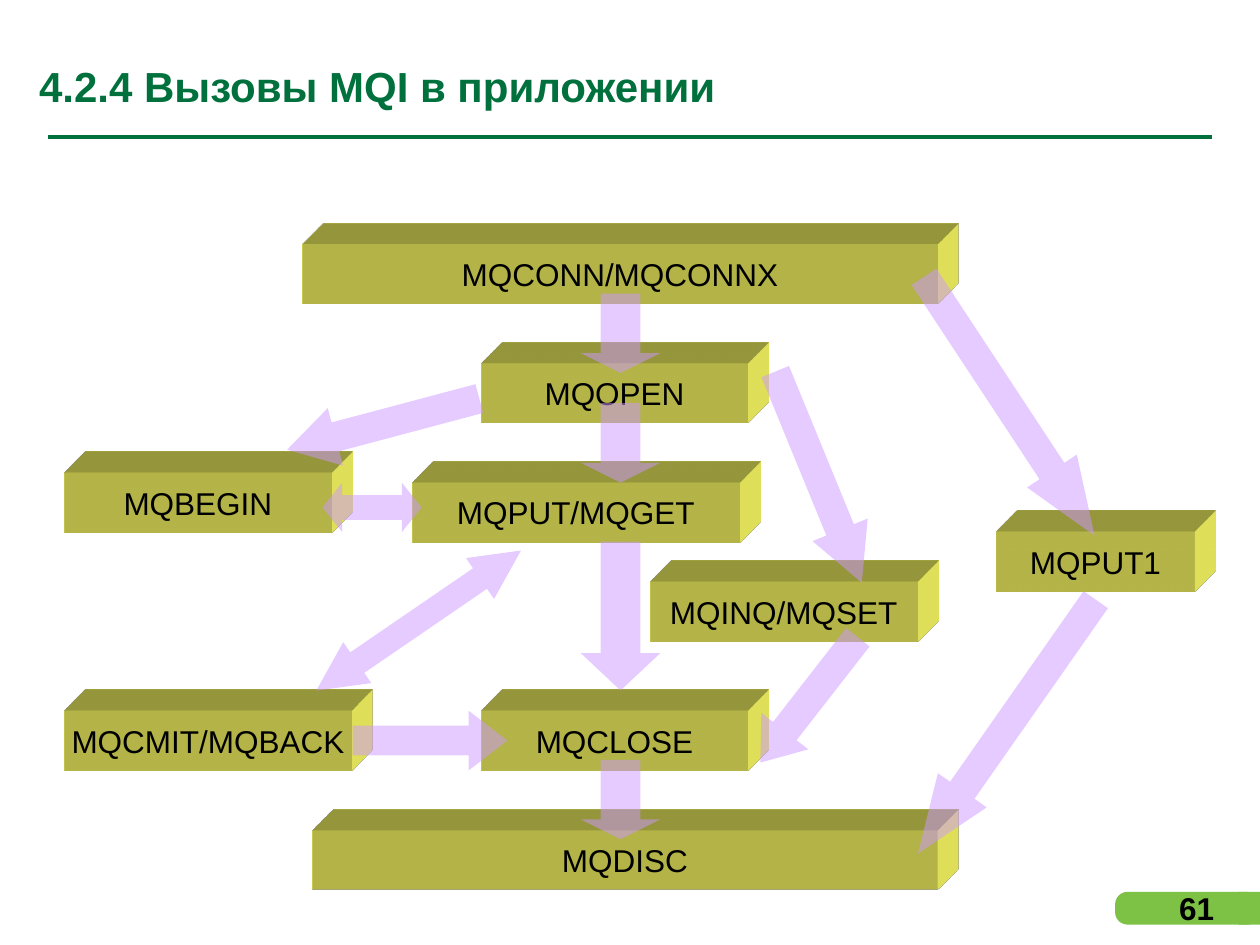
from lxml import etree
from pptx import Presentation
from pptx.dml.color import RGBColor
from pptx.enum.shapes import MSO_CONNECTOR, MSO_SHAPE
from pptx.enum.text import MSO_ANCHOR, PP_ALIGN
from pptx.oxml.ns import qn
from pptx.util import Cm, Pt

STRAIGHT = MSO_CONNECTOR.STRAIGHT
RECTANGLE = MSO_SHAPE.RECTANGLE
ROUNDED = MSO_SHAPE.ROUNDED_RECTANGLE
DOWN = MSO_SHAPE.DOWN_ARROW
RIGHT = MSO_SHAPE.RIGHT_ARROW
BOTH_WAYS = MSO_SHAPE.LEFT_RIGHT_ARROW
MIDDLE = MSO_ANCHOR.MIDDLE
LEFT, CENTER = PP_ALIGN.LEFT, PP_ALIGN.CENTER

DARK_GREEN = RGBColor(0x00, 0x70, 0x3C)
LIGHT_GREEN = RGBColor(0x7D, 0xC2, 0x44)
YELLOW = RGBColor(0xFF, 0xFF, 0x66)
LILAC = RGBColor(0xCC, 0x99, 0xFF)
BLACK = RGBColor(0x00, 0x00, 0x00)

CALL_HEIGHT = 1.2
CALLS = [
    ("MQCONN/MQCONNX", 6.1, 4.93, 12.8),
    ("MQDISC", 6.3, 16.74, 12.6),
    ("MQOPEN", 9.7, 7.32, 5.38),
    ("MQCLOSE", 9.7, 14.33, 5.38),
    ("MQBEGIN", 1.3, 9.53, 5.38),
    ("MQCMIT/MQBACK", 1.3, 14.33, 5.79),
    ("MQINQ/MQSET", 13.11, 11.73, 5.38),
    ("MQPUT/MQGET", 8.31, 9.73, 6.6),
    ("MQPUT1", 20.09, 10.72, 3.99),
]
ARROWS = [
    (DOWN, (11.71, 5.92, 1.6, 1.6), 0, 0.25),
    (DOWN, (11.71, 15.32, 1.6, 1.6), 0, 0.25),
    (RIGHT, (17.22, 7.59, 6.25, 1.2), 56.6, 1.3),
    (RIGHT, (17.17, 14.05, 6.25, 1.2), 125, 1.3),
    (RIGHT, (5.72, 7.95, 4.01, 1.2), 165.1, 0.84),
    (RIGHT, (7.11, 14.33, 3.12, 1.2), 0, 0.65),
    (RIGHT, (14.2, 9.02, 4.6, 1.2), 67.7, 0.96),
    (RIGHT, (14.71, 13.51, 3.2, 1.2), 127.9, 0.67),
    (DOWN, (11.71, 10.92, 1.6, 3), 0, 0.47),
    (BOTH_WAYS, (6.5, 9.73, 2, 1), 0, 0.4),
    (BOTH_WAYS, (5.94, 12.01, 5, 1), 325.6, 1),
    (DOWN, (11.71, 8.13, 1.6, 1.6), 0, 0.25),
]


def set_values(target, values):
    for name, value in values.items():
        setattr(target, name, value)


def write(box, text, align, color, frame_values, **font_values):
    frame = box.text_frame
    set_values(frame, {"vertical_anchor": MIDDLE, **frame_values})
    para = frame.paragraphs[0]
    para.alignment = align
    span = para.add_run()
    span.text = text
    set_values(span.font, {"name": "Arial", "size": Pt(18), **font_values})
    span.font.color.rgb = color
    return para


def add_filled(page, kind, place, color):
    shape = page.shapes.add_shape(kind, *map(Cm, place))
    shape.shadow.inherit = False
    shape.fill.solid()
    shape.fill.fore_color.rgb = color
    shape.line.fill.background()
    return shape


def add_text(page, place, text, color, frame_values, **font_values):
    box = page.shapes.add_textbox(*map(Cm, place))
    return write(box, text, LEFT, color, frame_values, **font_values)


def add_rule(page):
    rule = page.shapes.add_connector(STRAIGHT, Cm(0.97), Cm(2.77), Cm(24.43), Cm(2.77))
    rule.line.color.rgb = DARK_GREEN
    rule.line.width = Pt(2.25)
    etree.SubElement(rule._element.spPr, qn("a:effectLst"))


def extrude(shape, color):
    properties = shape._element.spPr
    scene = etree.SubElement(properties, qn("a:scene3d"))
    etree.SubElement(scene, qn("a:camera"), prst="legacyObliqueTopRight")
    etree.SubElement(scene, qn("a:lightRig"), rig="legacyFlat3", dir="b")
    solid = etree.SubElement(properties, qn("a:sp3d"),
                             extrusionH="430200", prstMaterial="legacyMatte")
    side = etree.SubElement(solid, qn("a:extrusionClr"))
    etree.SubElement(side, qn("a:srgbClr"), val=str(color))


def add_call(page, name, left, top, width):
    box = add_filled(page, RECTANGLE, (left, top, width, CALL_HEIGHT), YELLOW)
    extrude(box, YELLOW)
    write(box, name, CENTER, BLACK, {"word_wrap": False})


def add_arrow(page, kind, place, rotation, head):
    arrow = add_filled(page, kind, place, LILAC)
    arrow.rotation = rotation
    arrow.adjustments[0] = 0.5
    arrow.adjustments[1] = head
    tint = arrow._element.spPr.find(qn("a:solidFill"))[0]
    etree.SubElement(tint, qn("a:alpha"), val="50000")


def add_page_number(page):
    tab = add_filled(page, ROUNDED, (22.48, 17.98, 2.92, 0.66), LIGHT_GREEN)
    tab.adjustments[0] = 0.38
    add_filled(page, RECTANGLE, (24.97, 17.98, 0.43, 0.66), LIGHT_GREEN)
    add_text(page, (23.52, 17.98, 1.78, 0.64), "61", BLACK, {"word_wrap": True}, bold=True)


def add_title(page):
    margins = {f"margin_{side}": 0 for side in ("left", "top", "right", "bottom")}
    para = add_text(page, (0.79, 0.69, 15.57, 1.88), "4.2.4 Вызовы MQI в приложении",
                    DARK_GREEN, {"word_wrap": True, **margins}, size=Pt(24), bold=True)
    para.line_spacing = 1.2


def main():
    deck = Presentation()
    set_values(deck, {"slide_width": Cm(25.4), "slide_height": Cm(19.05)})
    page = deck.slides.add_slide(deck.slide_layouts[6])
    add_rule(page)
    add_page_number(page)
    add_title(page)
    for call in CALLS:
        add_call(page, *call)
    for arrow in ARROWS:
        add_arrow(page, *arrow)
    deck.save("out.pptx")


if __name__ == "__main__":
    main()
